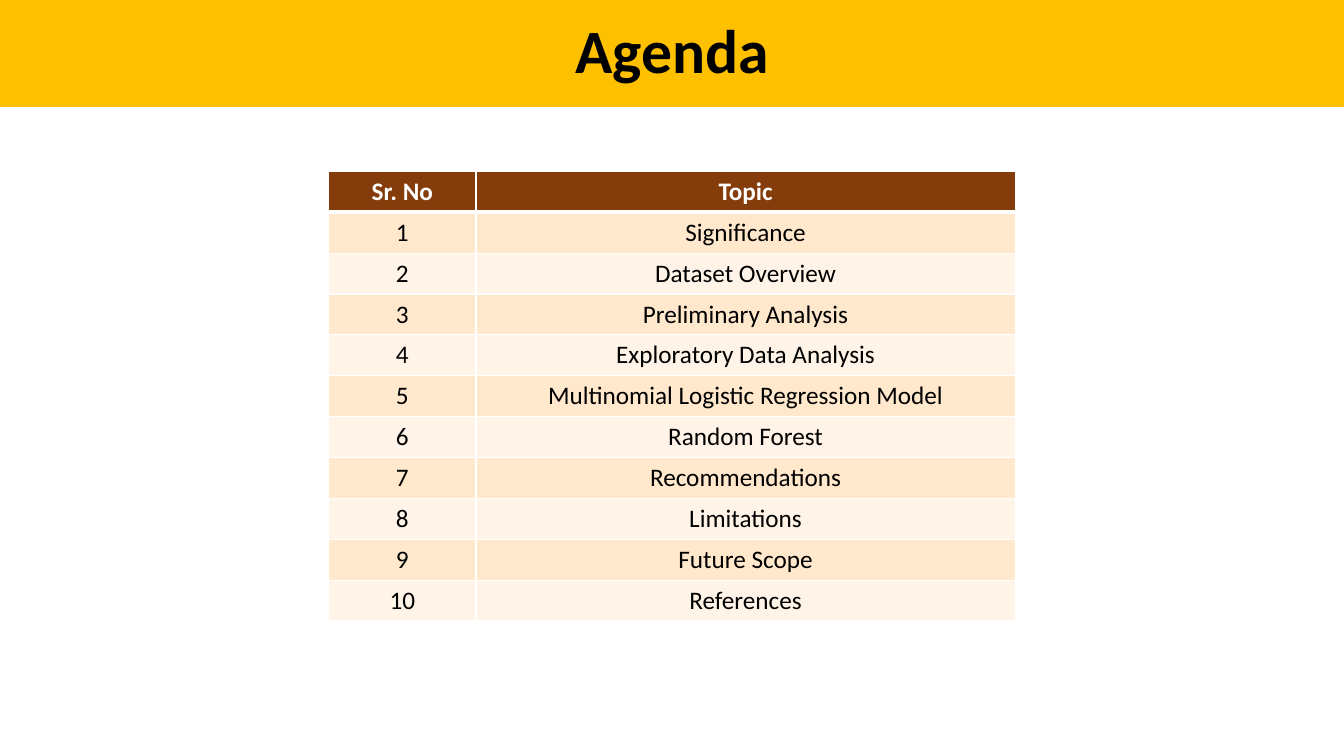
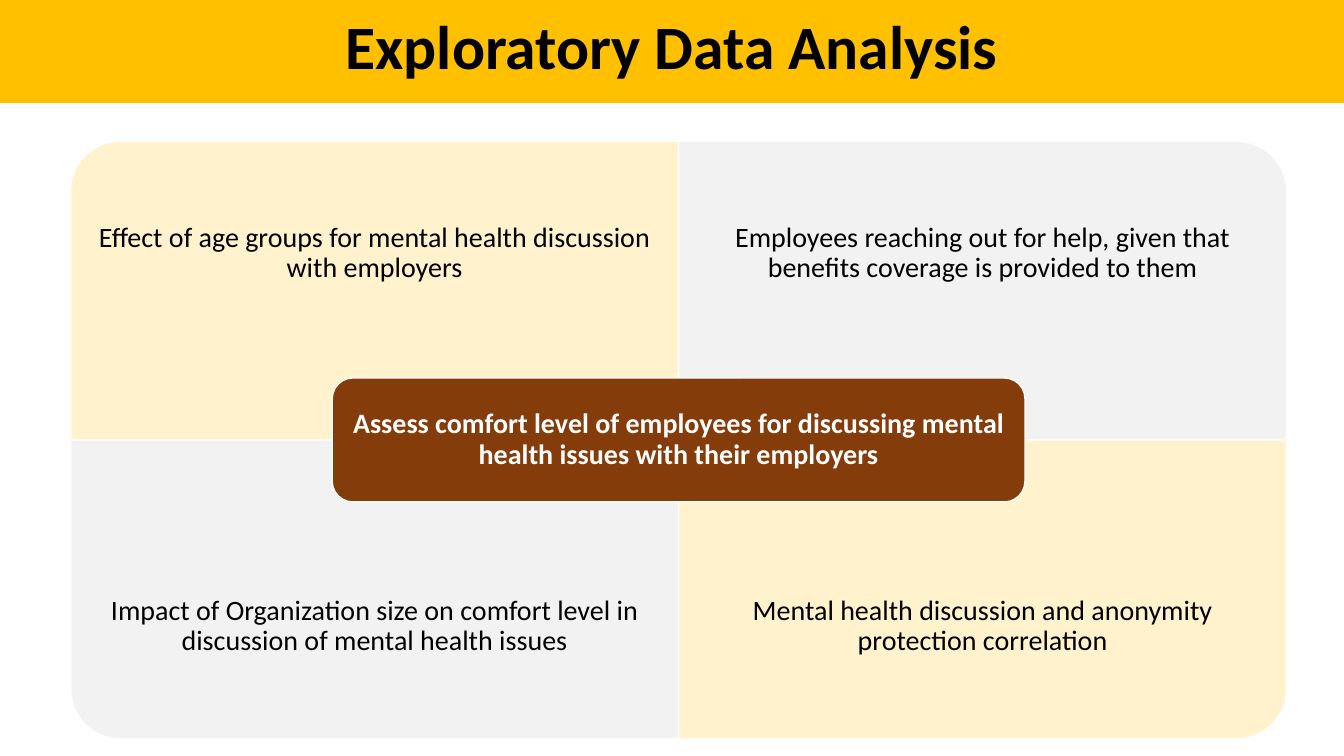
from lxml.etree import SubElement
from pptx import Presentation
from pptx.dml.color import RGBColor
from pptx.enum.shapes import MSO_SHAPE as Preset
from pptx.enum.text import MSO_ANCHOR as Anchor, MSO_AUTO_SIZE as AutoSize, PP_ALIGN as Align
from pptx.oxml.ns import qn
from pptx.util import Inches, Pt

COLORS = {
    "band": "FFC000",
    "brown": "843C0B",
    "row_dark": "FFE8CC",
    "row_light": "FFF4E7",
    "cream": "FFF2CC",
    "gray": "F2F2F2",
    "black": "000000",
    "white": "FFFFFF",
}
FONT = "Calibri"
WIDTH, HEIGHT = Inches(13.33), Inches(7.5)
GRID = 100
TITLE_ONLY = 5

TOPICS = [
    "Significance",
    "Dataset Overview",
    "Preliminary Analysis",
    "Exploratory Data Analysis",
    "Multinomial Logistic Regression Model",
    "Random Forest",
    "Recommendations",
    "Limitations",
    "Future Scope",
    "References",
]
QUADRANTS = [
    ("Effect of age groups for mental health discussion with employers", "cream", 270),
    ("Employees reaching out for help, given that benefits coverage is provided to them", "gray", 0),
    ("Impact of Organization size on comfort level in discussion of mental health issues", "gray", 180),
    ("Mental health discussion and anonymity protection correlation", "cream", 90),
]
CENTER_TEXT = "Assess comfort level of employees for discussing mental health issues with their employers"


def color(name):
    return RGBColor.from_string(COLORS[name])


def columns(count):
    return round(WIDTH * count / GRID)


def rows(count):
    return round(HEIGHT * count / GRID)


def write(frame, text, size=20, ink="black", bold=False, spacing=0.9):
    frame.word_wrap = True
    paragraph = frame.paragraphs[0]
    paragraph.alignment = Align.CENTER
    paragraph.line_spacing = spacing
    run = paragraph.add_run()
    run.text = text
    run.font.name = FONT
    run.font.size = Pt(size)
    run.font.bold = bold
    run.font.color.rgb = color(ink)


def set_borders(cell, **widths):
    properties = cell._tc.get_or_add_tcPr()
    for side in "LRTB":
        line = SubElement(properties, qn(f"a:ln{side}"), w=str(Pt(widths.get(side, 1))))
        fill = SubElement(line, qn("a:solidFill"))
        SubElement(fill, qn("a:srgbClr"), val=COLORS["white"])


class Deck:
    def __init__(self):
        self.presentation = Presentation()
        self.presentation.slide_width = WIDTH
        self.presentation.slide_height = HEIGHT
        self.slide = None

    def add_slide(self, title, top=0):
        layout = self.presentation.slide_layouts[TITLE_ONLY]
        self.slide = self.presentation.slides.add_slide(layout)
        band = self.slide.shapes.title
        band.left, band.top = 0, rows(top)
        band.width, band.height = WIDTH, rows(14.13)
        band.fill.solid()
        band.fill.fore_color.rgb = color("band")
        frame = band.text_frame
        frame.auto_size = AutoSize.NONE
        frame.vertical_anchor = Anchor.MIDDLE
        write(frame, title, size=44, bold=True)

    def add_panel(self, preset, left, top, width, height, fill, rotation=0):
        x, y, wide, high = columns(left), rows(top), columns(width), rows(height)
        if rotation % 180:
            x, y = x + (wide - high) // 2, y + (high - wide) // 2
            wide, high = high, wide
        shape = self.slide.shapes.add_shape(preset, x, y, wide, high)
        shape.rotation = rotation
        shape.shadow.inherit = False
        shape.fill.solid()
        shape.fill.fore_color.rgb = color(fill)
        shape.line.color.rgb = color("white")
        shape.line.width = Pt(1)
        return shape

    def add_text(self, text, left, top, width, height):
        box = self.slide.shapes.add_textbox(columns(left), rows(top), columns(width), rows(height))
        self.fill_text(box, text, inset=1.2)

    def fill_text(self, shape, text, inset, **style):
        frame = shape.text_frame
        frame.vertical_anchor = Anchor.MIDDLE
        frame.margin_left = frame.margin_right = columns(inset)
        frame.margin_top = frame.margin_bottom = columns(inset)
        write(frame, text, **style)

    def add_table(self, records, top, widths, row_height):
        left = (GRID - sum(widths)) / 2
        table = self.slide.shapes.add_table(
            len(records), len(widths), columns(left), rows(top),
            columns(sum(widths)), rows(row_height * len(records)),
        ).table
        for column, width in zip(table.columns, widths):
            column.width = columns(width)
        for index, record in enumerate(records):
            table.rows[index].height = rows(row_height)
            header = index == 0
            fill = "brown" if header else ("row_light", "row_dark")[index % 2]
            for cell, text in zip(table.rows[index].cells, record):
                set_borders(cell, B=3 if header else 1, T=3 if index == 1 else 1)
                cell.fill.solid()
                cell.fill.fore_color.rgb = color(fill)
                write(cell.text_frame, text, size=18, bold=header,
                      ink="white" if header else "black", spacing=1.0)


def build_agenda(deck):
    deck.add_slide("Agenda")
    records = [("Sr. No", "Topic")]
    records += [(str(number), topic) for number, topic in enumerate(TOPICS, 1)]
    deck.add_table(records, top=22.67, widths=(10.95, 40.13), row_height=5.41)


def build_analysis(deck):
    deck.add_slide("Exploratory Data Analysis", top=-0.53)
    left, top, width, height = 5.25, 18.67, 45.24, 39.53
    text_height = height * 0.75
    for index, (text, fill, rotation) in enumerate(QUADRANTS):
        row, column = divmod(index, 2)
        x, y = left + column * width, top + row * height
        deck.add_panel(Preset.ROUND_1_RECTANGLE, x, y, width, height, fill, rotation)
        deck.add_text(text, x, y + row * (height - text_height), width, text_height)
    center_width, center_height = 51.54, 16.4
    center = deck.add_panel(
        Preset.ROUNDED_RECTANGLE, left + width - center_width / 2,
        top + height - center_height / 2, center_width, center_height, "brown",
    )
    deck.fill_text(center, CENTER_TEXT, inset=0.6, ink="white", bold=True)


def main():
    deck = Deck()
    build_agenda(deck)
    build_analysis(deck)
    deck.presentation.save("out.pptx")


if __name__ == "__main__":
    main()
